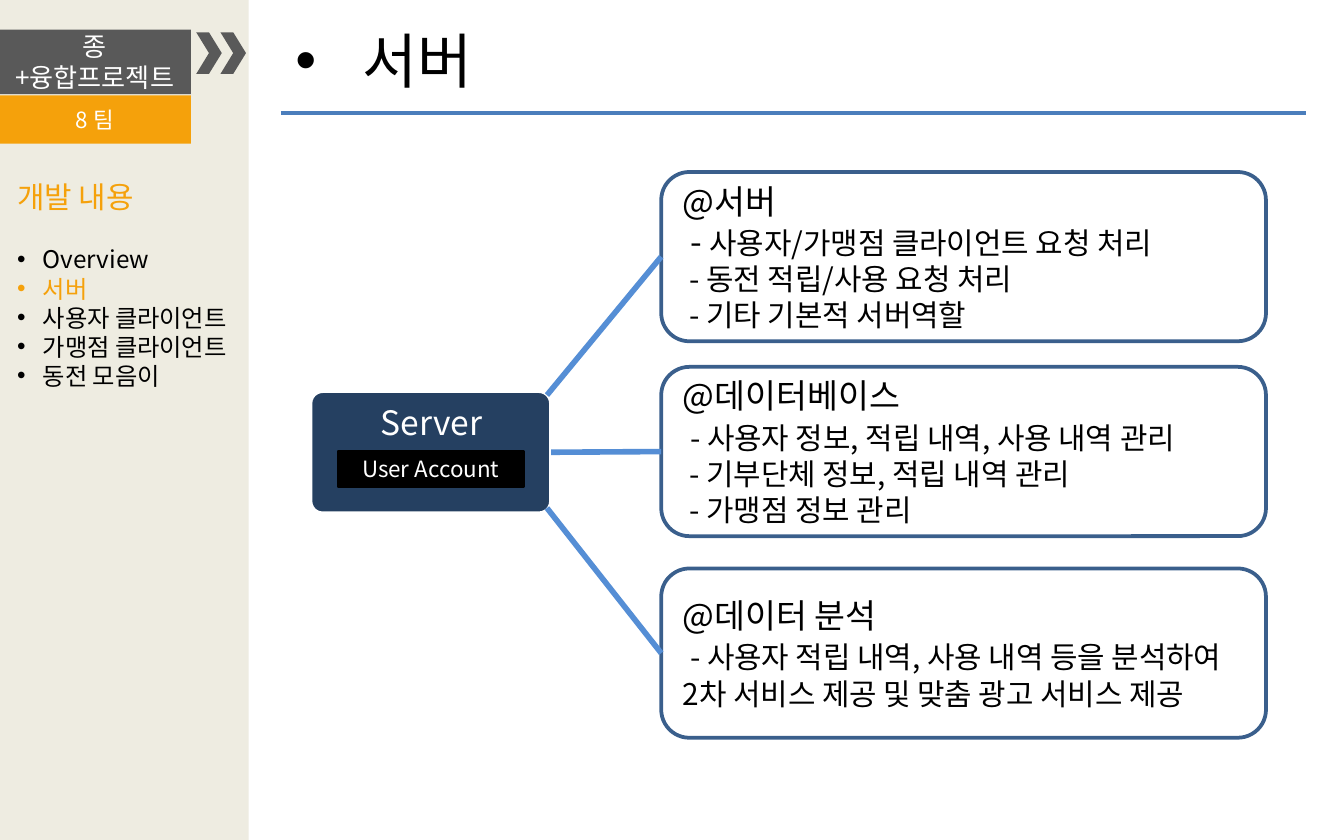
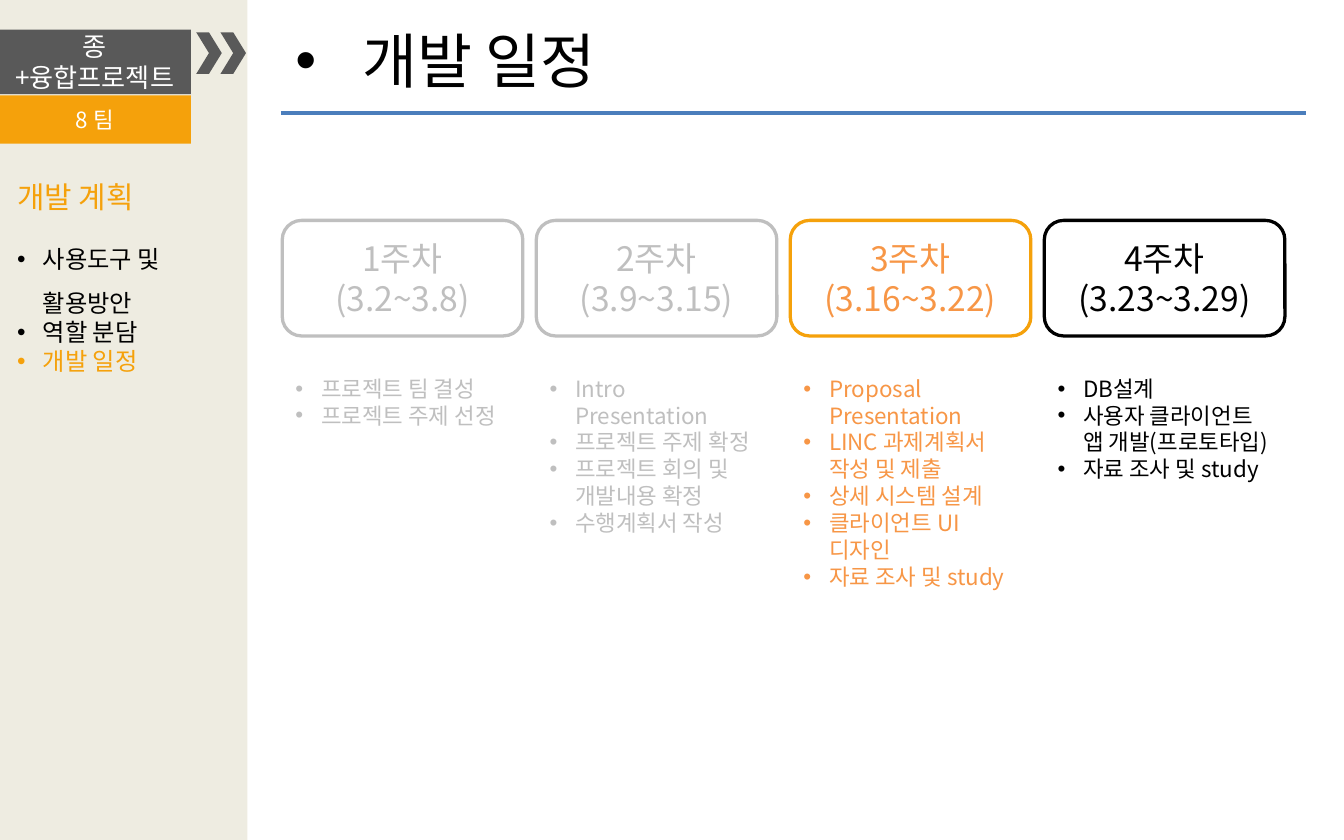
from lxml import etree
from pptx import Presentation
from pptx.dml.color import RGBColor
from pptx.enum import shapes, text
from pptx.oxml.ns import qn
from pptx.util import Inches, Pt

FONT = "Noto Sans CJK KR"
LINE_FACTOR = 1.2
BEIGE = RGBColor(0xEE, 0xEC, 0xE1)
CHARCOAL = RGBColor(0x59, 0x59, 0x59)
AMBER = RGBColor(0xF5, 0xA1, 0x0B)
ORANGE = RGBColor(0xF7, 0x96, 0x46)
SILVER = RGBColor(0xBF, 0xBF, 0xBF)
BLACK = RGBColor(0, 0, 0)
WHITE = RGBColor(0xFF, 0xFF, 0xFF)
RULE_BLUE = RGBColor(0x4B, 0x7E, 0xBC)
NAVY = RGBColor(0x25, 0x40, 0x61)
BORDER_BLUE = RGBColor(0x3A, 0x5F, 0x8C)
LINK_BLUE = RGBColor(0x55, 0x8E, 0xD5)

COURSE = "종+융합프로젝트"
TEAM = "8 팀"
SERVER_PAGE = {
    "title": "서버",
    "section": "개발 내용",
    "topics": ["Overview", "서버", "사용자 클라이언트", "가맹점 클라이언트", "동전 모음이"],
    "sidebar_left": 0,
}
SCHEDULE_PAGE = {
    "title": "개발 일정",
    "section": "개발 계획",
    "topics": ["사용도구 및 활용방안", "역할 분담", "개발 일정"],
    "sidebar_left": -0.01,
}
ROLES = [
    (1.28, "@서버", " - ", ["사용자/가맹점 클라이언트 요청 처리",
                          " - 동전 적립/사용 요청 처리",
                          " - 기타 기본적 서버역할"]),
    (2.73, "@데이터베이스", " ", ["- 사용자 정보, 적립 내역, 사용 내역 관리",
                              " - 기부단체 정보, 적립 내역 관리",
                              " - 가맹점 정보 관리"]),
    (4.23, "@데이터 분석", " ", ["- 사용자 적립 내역, 사용 내역 등을 분석하여 "
                             "2차 서비스 제공 및 맞춤 광고 서비스 제공"]),
]
LINK_STARTS = [(4.07, 2.94), (4.1, 3.36), (4.07, 3.78)]
WEEKS = [
    ("1주차", "(3.2~3.8)", SILVER, SILVER, ["프로젝트 팀 결성", "프로젝트 주제 선정"]),
    ("2주차", "(3.9~3.15)", SILVER, SILVER,
     ["Intro Presentation", "프로젝트 주제 확정", "프로젝트 회의 및 개발내용 확정", "수행계획서 작성"]),
    ("3주차", "(3.16~3.22)", AMBER, ORANGE,
     ["Proposal Presentation", "LINC 과제계획서 작성 및 제출", "상세 시스템 설계",
      "클라이언트 UI디자인", "자료 조사 및 study"]),
    ("4주차", "(3.23~3.29)", BLACK, BLACK,
     ["DB설계", "사용자 클라이언트 앱 개발(프로토타입)", "자료 조사 및 study"]),
]


def add_box(slide, kind, left, top, width, height, fill=None, border=None, weight=2):
    box = slide.shapes.add_shape(kind, *map(Inches, (left, top, width, height)))
    box.shadow.inherit = False
    if fill is None:
        box.fill.background()
    else:
        box.fill.solid()
        box.fill.fore_color.rgb = fill
    if border is None:
        box.line.fill.background()
    else:
        box.line.color.rgb = border
        box.line.width = Pt(weight)
    box.text_frame.word_wrap = True
    box.text_frame.vertical_anchor = text.MSO_ANCHOR.MIDDLE
    return box


def add_text(slide, left, top, width, height):
    frame = slide.shapes.add_textbox(*map(Inches, (left, top, width, height))).text_frame
    frame.word_wrap = True
    return frame


def write(frame, words, size, color, align=text.PP_ALIGN.LEFT, indent=None,
          spacing=1, after=0):
    paragraph = frame.paragraphs[0]
    if paragraph.runs:
        paragraph = frame.add_paragraph()
    paragraph.add_run().text = words
    paragraph.alignment = align
    paragraph.line_spacing = Pt(round(size * LINE_FACTOR * spacing, 1))
    paragraph.space_after = Pt(after)
    paragraph.font.name = FONT
    paragraph.font.size = Pt(size)
    paragraph.font.color.rgb = color
    properties = paragraph._p.get_or_add_pPr()
    defaults = properties.find(qn("a:defRPr"))
    etree.SubElement(defaults, qn("a:ea")).set("typeface", FONT)
    if indent:
        properties.set("marL", str(Inches(indent)))
        properties.set("indent", str(-Inches(indent)))
        for tag, key, value in (("a:buFont", "typeface", "Arial"), ("a:buChar", "char", "•")):
            bullet = etree.Element(qn(tag))
            bullet.set(key, value)
            defaults.addprevious(bullet)
    return paragraph


def add_line(slide, start, end, color, weight):
    line = slide.shapes.add_connector(
        shapes.MSO_CONNECTOR.STRAIGHT, *map(Inches, (*start, *end)))
    line.line.color.rgb = color
    line.line.width = Pt(weight)
    etree.SubElement(line._element.spPr, qn("a:effectLst"))
    return line


def add_page(deck, page):
    slide = deck.slides.add_slide(deck.slide_layouts[6])
    rect = shapes.MSO_SHAPE.RECTANGLE
    add_box(slide, rect, page["sidebar_left"], 0, 1.85, 6.25, BEIGE)
    for left in (1.46, 1.64):
        add_box(slide, shapes.MSO_SHAPE.CHEVRON, left, 0.24, 0.19, 0.31, CHARCOAL)
    for words, top, height, size, fill in ((COURSE, 0.22, 0.48, 14, CHARCOAL),
                                           (TEAM, 0.71, 0.36, 12, AMBER)):
        band = add_box(slide, rect, -0.01, top, 1.43, height, fill)
        write(band.text_frame, words, size, WHITE, text.PP_ALIGN.CENTER)

    agenda = add_text(slide, 0.03, 1.28, 1.81, 1.69)
    write(agenda, page["section"], 16, AMBER, after=8.4)
    for number, topic in enumerate(page["topics"]):
        write(agenda, topic, 13, AMBER if topic == page["title"] else BLACK,
              indent=0.19, spacing=1 if number else 1.5)

    write(add_text(slide, 2.1, 0.13, 7.47, 0.64), page["title"], 32, BLACK, indent=0.5)
    add_line(slide, (2.09, 0.84), (9.72, 0.84), RULE_BLUE, 2.25)
    return slide


def build_server(deck):
    slide = add_page(deck, SERVER_PAGE)
    rounded = shapes.MSO_SHAPE.ROUNDED_RECTANGLE
    server = add_box(slide, rounded, 2.31, 2.91, 1.79, 0.91, NAVY, WHITE)
    server.adjustments[0] = 0.1
    write(add_text(slide, 2.34, 2.97, 1.74, 0.4), "Server", 18, WHITE,
          text.PP_ALIGN.CENTER, spacing=0.9)
    account = add_box(slide, shapes.MSO_SHAPE.RECTANGLE, 2.52, 3.36, 1.37, 0.26, BLACK, BLACK)
    write(account.text_frame, "User Account", 12, WHITE, text.PP_ALIGN.CENTER)

    roles = []
    for top, heading, lead, duties in ROLES:
        role = add_box(slide, rounded, 4.92, top, 4.5, 1.26, border=BORDER_BLUE)
        write(role.text_frame, heading, 18, BLACK, after=2.4)
        first = write(role.text_frame, lead, 16, BLACK)
        first.runs[0].font.size = Pt(18)
        first.add_run().text = duties[0]
        for duty in duties[1:]:
            write(role.text_frame, duty, 16, BLACK)
        roles.append(role)

    links = [add_line(slide, start, start, LINK_BLUE, 3) for start in LINK_STARTS]
    for link, role in zip(links, roles):
        link.end_connect(role, 1)
    links[1].begin_connect(server, 3)


def build_schedule(deck):
    slide = add_page(deck, SCHEDULE_PAGE)
    width, pitch = 1.79, 1.89
    for number, (week, dates, border, color, tasks) in enumerate(WEEKS):
        left = 2.1 + number * pitch
        card = add_box(slide, shapes.MSO_SHAPE.ROUNDED_RECTANGLE, left, 1.64, width, 0.86,
                       border=border, weight=1.75)
        for words in (week, dates):
            write(card.text_frame, words, 18, color, text.PP_ALIGN.CENTER)
        plan = add_text(slide, left, 2.74, width, 0.3 + 0.2 * len(tasks))
        for task in tasks:
            write(plan, task, 12, color, indent=0.19)


def main():
    deck = Presentation()
    deck.slide_width, deck.slide_height = Inches(10), Inches(6.25)
    build_server(deck)
    build_schedule(deck)
    deck.save("out.pptx")


if __name__ == "__main__":
    main()
